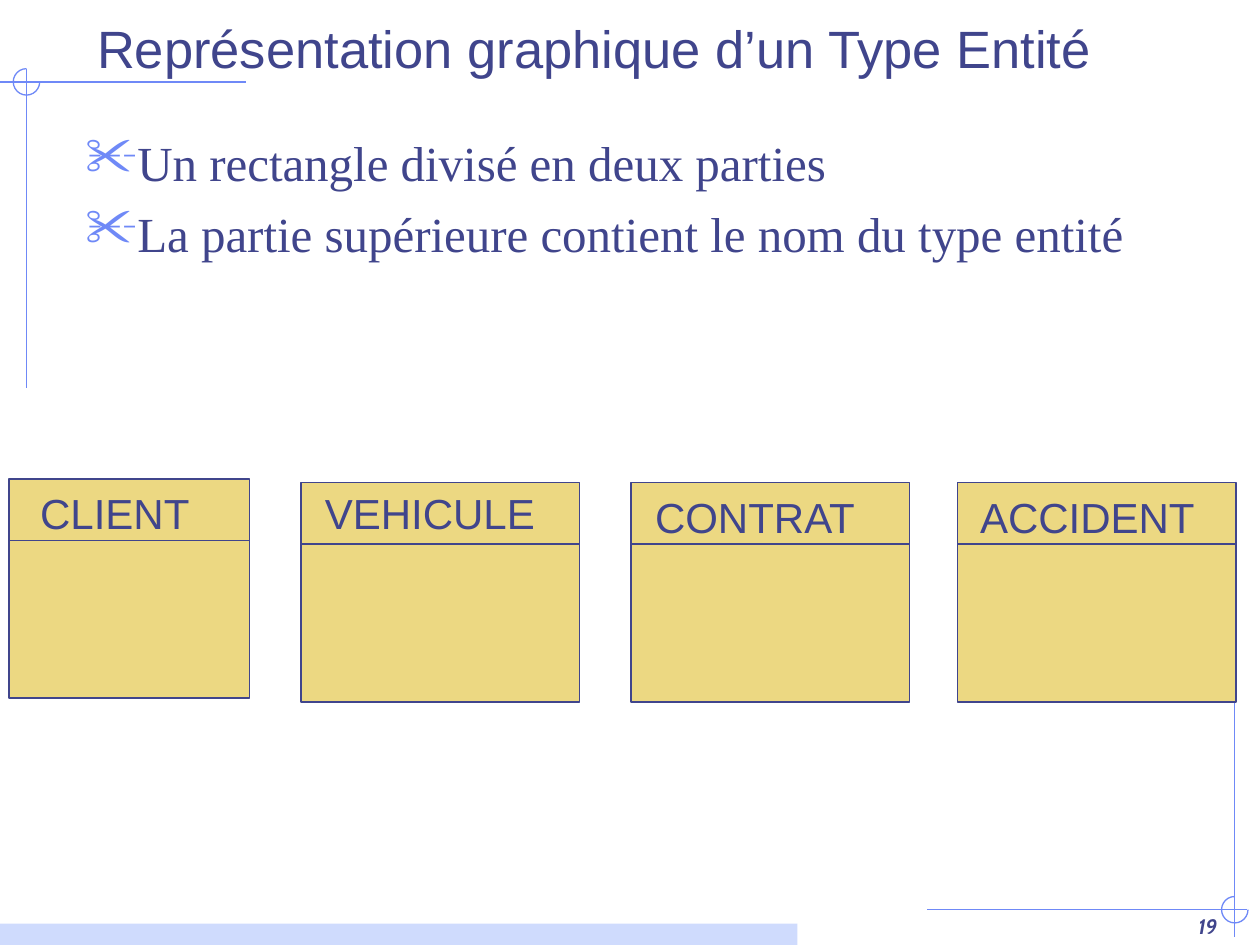
from lxml import etree
from pptx import Presentation, util as u
from pptx.dml.color import RGBColor
from pptx.enum import shapes, text
from pptx.oxml.ns import qn

COLORS = {"ink": "40458C", "rule": "6F89F7", "band": "CFDBFD", "card": "ECD882"}
COLS, ROWS = 10, 7.5

deck = Presentation()
deck.slide_width, deck.slide_height = u.Inches(COLS), u.Inches(ROWS)
COL, ROW = deck.slide_width / COLS, deck.slide_height / ROWS
page = deck.slides.add_slide(deck.slide_layouts[5])


def add_line(x1, y1, x2, y2, color, width):
    line = page.shapes.add_connector(
        shapes.MSO_CONNECTOR.STRAIGHT,
        int(x1 * COL), int(y1 * ROW), int(x2 * COL), int(y2 * ROW))
    line.line.color.rgb = RGBColor.from_string(COLORS[color])
    line.line.width = u.Pt(width)
    etree.SubElement(line._element.spPr, qn("a:effectLst"))


def write(box, lines, align, anchor, wrap, **font):
    """Fill a text shape with one paragraph per line, all in one format."""
    frame = box.text_frame
    frame.auto_size = text.MSO_AUTO_SIZE.NONE
    frame.word_wrap, frame.vertical_anchor = wrap, anchor
    frame.text = "\n".join(lines)
    for para in frame.paragraphs:
        para.alignment = align
        for span in para.runs:
            span.font.color.rgb = RGBColor.from_string(COLORS["ink"])
            for name, value in font.items():
                setattr(span.font, name, value)
    return frame.paragraphs


LEFT, RIGHT, JUSTIFY = (text.PP_ALIGN.LEFT, text.PP_ALIGN.RIGHT,
                        text.PP_ALIGN.JUSTIFY)
TOP, BOTTOM = text.MSO_ANCHOR.TOP, text.MSO_ANCHOR.BOTTOM

# Corner rules, each pair crossing inside a three-quarter circle
corners = [
    ((0.21, 0.65), (0, 1.95), (0.55, 3.08)),
    ((9.8, 7.22), (7.36, 9.9), (5.49, 7.44)),
]
RADIUS = 0.105
for (x, y), (x1, x2), (y1, y2) in corners:
    add_line(x1, y, x2, y, "rule", 0.75)
    add_line(x, y1, x, y2, "rule", 0.75)
    arc = page.shapes.add_shape(
        shapes.MSO_SHAPE.ARC, int((x - RADIUS) * COL), int((y - RADIUS) * ROW),
        int(2 * RADIUS * COL), int(2 * RADIUS * ROW))
    arc.adjustments[0], arc.adjustments[1] = 0, 162  # 0 to 270 degrees
    arc.shadow.inherit = False
    arc.fill.background()
    arc.line.color.rgb = RGBColor.from_string(COLORS["rule"])
    arc.line.width = u.Pt(0.75)

band = page.shapes.add_shape(
    shapes.MSO_SHAPE.RECTANGLE, 0, int(7.33 * ROW), int(6.33 * COL), int(0.17 * ROW))
band.shadow.inherit = False
band.fill.solid()
band.fill.fore_color.rgb = RGBColor.from_string(COLORS["band"])
band.line.fill.background()

number = page.shapes.add_textbox(
    int(7.68 * COL), int(7 * ROW), int(2.08 * COL), int(0.5 * ROW))
write(number, ["19"], RIGHT, BOTTOM, True,
      size=u.Pt(12), name="Cabin", bold=True, italic=True)

title = page.shapes.title
title.left, title.top = int(0.67 * COL), int(0.01 * ROW)
title.width, title.height = int(9.08 * COL), int(0.67 * ROW)
write(title, ["Représentation graphique d’un Type Entité"], LEFT, BOTTOM, True,
      size=u.Pt(30), name="Arial")

# Bulleted statements
body = page.shapes.add_textbox(
    int(0.58 * COL), int(1 * ROW), int(8.92 * COL), int(6.01 * ROW))
statements = write(
    body,
    ["Un rectangle divisé en deux parties",
     "La partie supérieure contient le nom du type entité"],
    JUSTIFY, TOP, True, size=u.Pt(28), name="Times New Roman")
for index, para in enumerate(statements):
    para.space_before = u.Pt(7 if index else 0)
    props = para._p.get_or_add_pPr()
    props.set("marL", str(u.Inches(0.38)))
    props.set("indent", str(-u.Inches(0.38)))
    bullet_color = etree.SubElement(props, qn("a:buClr"))
    etree.SubElement(bullet_color, qn("a:srgbClr"), val=COLORS["rule"])
    etree.SubElement(props, qn("a:buSzPct"), val="110000")
    etree.SubElement(props, qn("a:buChar"), char="✂")

# Entity types: name, left, top, width, label left, label top, label width
CARD_HEIGHT, HEADER = 1.74, 0.49
entities = [
    ("CLIENT", 0.07, 3.8, 1.91, 0.22, 3.82, 1.38),
    ("VEHICULE", 2.39, 3.83, 2.21, 2.48, 3.82, 1.87),
    ("CONTRAT", 5.01, 3.83, 2.21, 5.1, 3.85, 1.81),
    ("ACCIDENT", 7.6, 3.83, 2.21, 7.68, 3.85, 1.9),
]
for name, x, y, width, label_x, label_y, label_width in entities:
    card = page.shapes.add_shape(
        shapes.MSO_SHAPE.RECTANGLE,
        int(x * COL), int(y * ROW), int(width * COL), int(CARD_HEIGHT * ROW))
    card.shadow.inherit = False
    card.fill.solid()
    card.fill.fore_color.rgb = RGBColor.from_string(COLORS["card"])
    card.line.color.rgb = RGBColor.from_string(COLORS["ink"])
    card.line.width = u.Pt(1)
    add_line(x, y + HEADER, x + width, y + HEADER, "ink", 1)
    label = page.shapes.add_textbox(
        int(label_x * COL), int(label_y * ROW), int(label_width * COL), int(0.5 * ROW))
    write(label, [name], LEFT, TOP, False, size=u.Pt(24), name="Arial")

deck.save("out.pptx")
